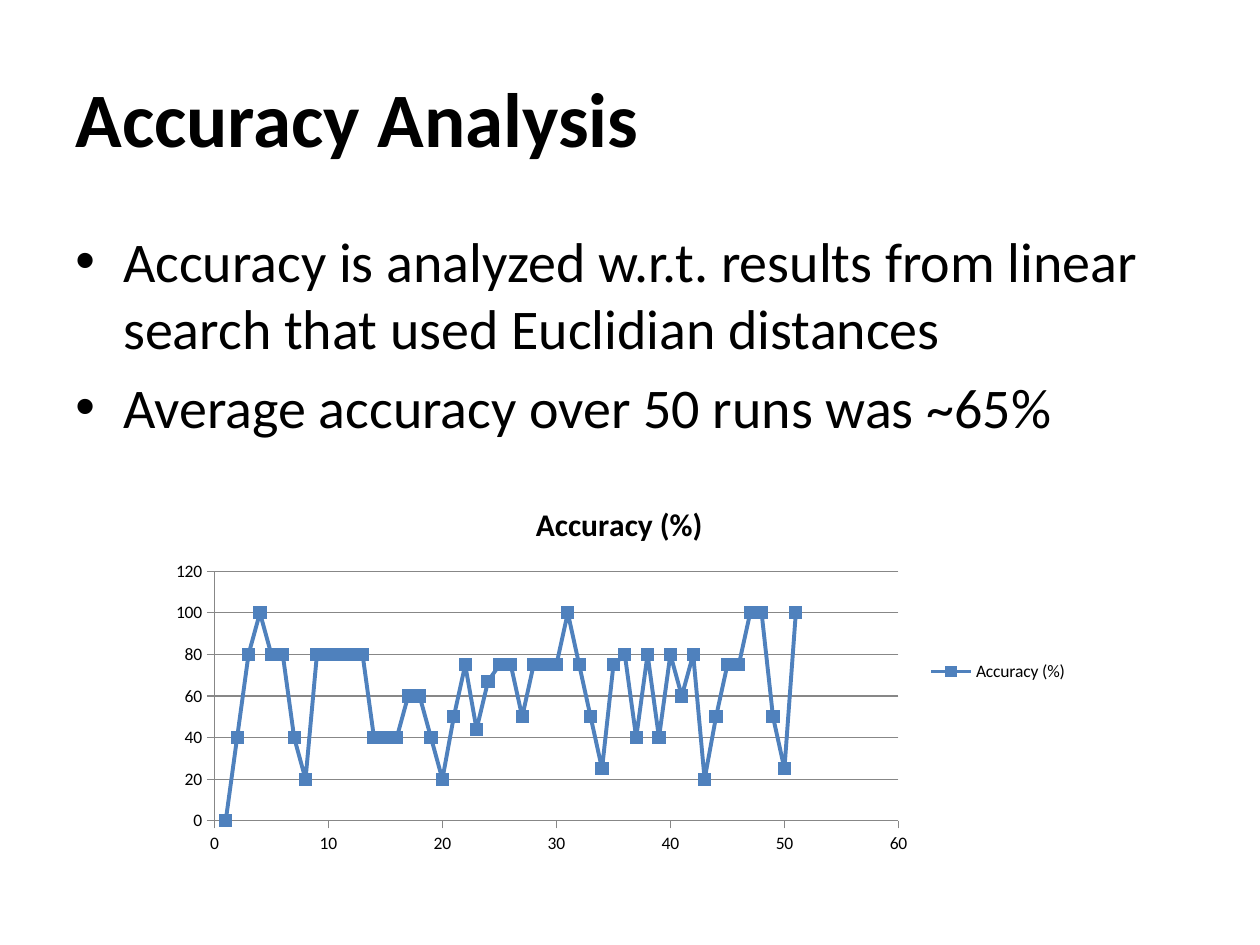
from dataclasses import dataclass

from lxml import etree
from pptx import Presentation
from pptx import util as u
from pptx.chart import data as chart_data
from pptx.dml import color
from pptx.enum import chart as charts, text
from pptx.oxml import ns


@dataclass(frozen=True)
class Theme:
    font: str = "Calibri"
    ink: color.RGBColor = color.RGBColor(0, 0, 0)
    accent: color.RGBColor = color.RGBColor(0x4F, 0x81, 0xBD)
    rule: color.RGBColor = color.RGBColor(0x87, 0x87, 0x87)
    title: int = 44
    body: int = 32
    chart_title: int = 18
    chart_text: int = 10


class SlideBuilder:
    def __init__(self, deck, theme):
        self.theme = theme
        self.page = deck.slides.add_slide(deck.slide_layouts[5])

    def style(self, font, size, bold=False):
        font.name = self.theme.font
        font.size = u.Pt(size)
        font.bold = bold
        font.color.rgb = self.theme.ink

    def title(self, words, left, top, width, height):
        box = self.page.shapes.title
        box.left, box.top, box.width, box.height = map(u.Inches, (left, top, width, height))
        box.text_frame.vertical_anchor = text.MSO_ANCHOR.MIDDLE
        para = box.text_frame.paragraphs[0]
        para.text = words
        para.alignment = text.PP_ALIGN.LEFT
        self.style(para.font, self.theme.title, bold=True)

    def bullets(self, items, left, top, width, height):
        box = self.page.shapes.add_textbox(*map(u.Inches, (left, top, width, height)))
        frame = box.text_frame
        frame.word_wrap = True
        for index, item in enumerate(items):
            para = frame.add_paragraph() if index else frame.paragraphs[0]
            para.text = item
            para.space_before = u.Pt(self.theme.body * 0.2)
            self.style(para.font, self.theme.body)
            self.add_bullet(para)

    def add_bullet(self, para):
        indent = u.Inches(0.38)
        props = para._p.get_or_add_pPr()
        props.set("marL", str(indent))
        props.set("indent", str(-indent))
        bullet_font = etree.Element(ns.qn("a:buFont"), typeface="Arial")
        bullet = etree.Element(ns.qn("a:buChar"), char="•")
        props.insert_element_before(bullet_font, "a:tabLst", "a:defRPr", "a:extLst")
        props.insert_element_before(bullet, "a:tabLst", "a:defRPr", "a:extLst")

    def smooth_scatter(self, name, values, left, top, width, height):
        points = chart_data.XyChartData()
        series_data = points.add_series(name)
        for run, value in enumerate(values, start=1):
            series_data.add_data_point(run, value)
        frame = self.page.shapes.add_chart(
            charts.XL_CHART_TYPE.XY_SCATTER_SMOOTH,
            *map(u.Inches, (left, top, width, height)), points)
        chart = frame.chart
        self.style(chart.font, self.theme.chart_text)
        chart.has_title = True
        heading = chart.chart_title.text_frame.paragraphs[0]
        heading.text = name
        self.style(heading.font, self.theme.chart_title, bold=True)
        chart.has_legend = True
        chart.legend.position = charts.XL_LEGEND_POSITION.RIGHT
        chart.legend.include_in_layout = False
        self.axis(chart.category_axis, 60, 10, grid=False)
        self.axis(chart.value_axis, 120, 20, grid=True)
        chart.plots[0].vary_by_categories = False
        self.series(chart.plots[0].series[0])

    def axis(self, axis, maximum, step, grid):
        axis.minimum_scale = 0
        axis.maximum_scale = maximum
        axis.major_unit = step
        axis.major_tick_mark = charts.XL_TICK_MARK.OUTSIDE
        axis.minor_tick_mark = charts.XL_TICK_MARK.NONE
        axis.has_major_gridlines = grid
        lines = [axis.format.line]
        if grid:
            lines.append(axis.major_gridlines.format.line)
        for line in lines:
            line.color.rgb = self.theme.rule
            line.width = u.Pt(0.75)

    def series(self, series):
        series.smooth = True
        series.format.line.color.rgb = self.theme.accent
        series.format.line.width = u.Pt(2.25)
        marker = series.marker
        marker.style = charts.XL_MARKER_STYLE.SQUARE
        marker.size = 7
        marker.format.fill.solid()
        marker.format.fill.fore_color.rgb = self.theme.accent
        marker.format.line.color.rgb = self.theme.accent


ACCURACY = [
    0, 40, 80, 100, 80, 80, 40, 20, 80, 80, 80, 80, 80, 40, 40, 40, 60,
    60, 40, 20, 50, 75, 44, 67, 75, 75, 50, 75, 75, 75, 100, 75, 50, 25,
    75, 80, 40, 80, 40, 80, 60, 80, 20, 50, 75, 75, 100, 100, 50, 25, 100,
]

deck = Presentation()
deck.slide_width, deck.slide_height = u.Inches(10), u.Inches(7.5)
slide = SlideBuilder(deck, Theme())
slide.title("Accuracy Analysis", 0.5, 0.3, 9, 1.25)
slide.bullets([
    "Accuracy is analyzed w.r.t. results from linear search that used Euclidian distances",
    "Average accuracy over 50 runs was ~65%",
], 0.5, 1.75, 9, 4.95)
slide.smooth_scatter("Accuracy (%)", ACCURACY, 1.25, 3.83, 7.33, 3)
deck.save("out.pptx")
